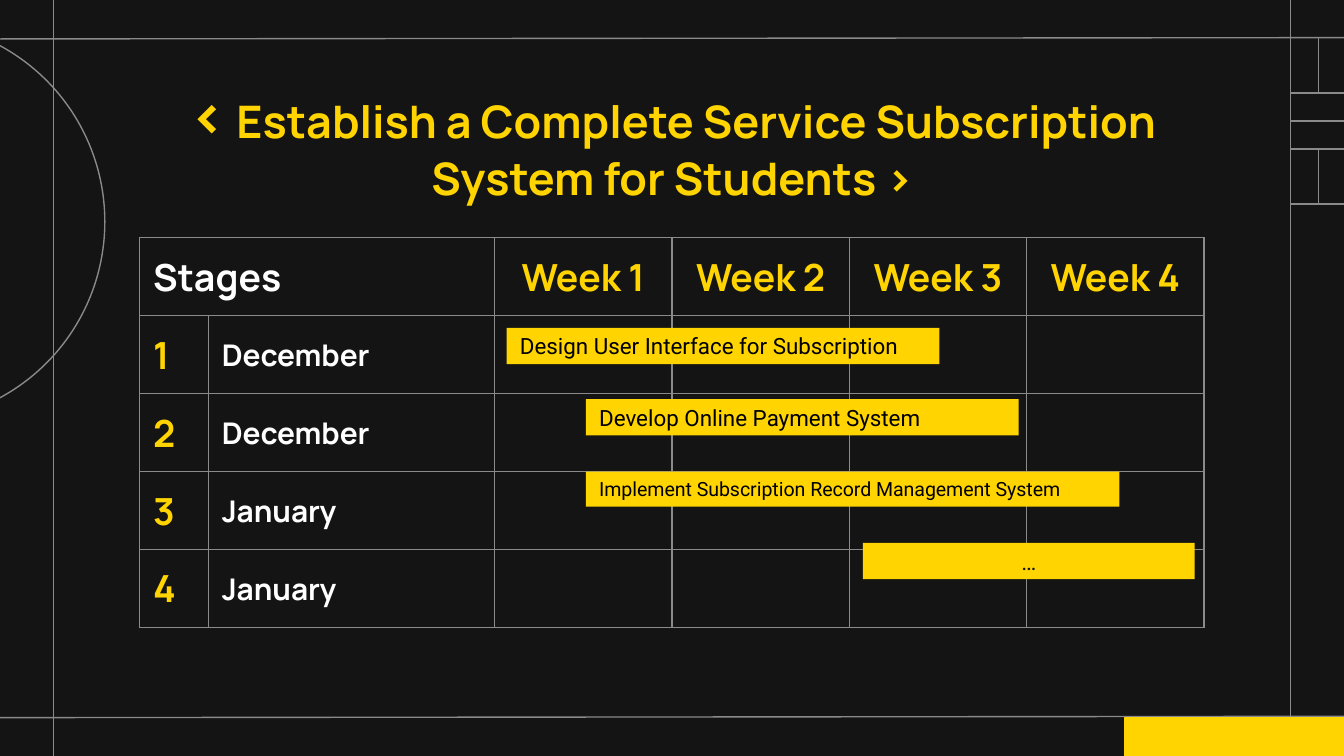
from typing import NamedTuple

from lxml.etree import SubElement
from pptx import Presentation
from pptx.dml.color import RGBColor
from pptx.enum.shapes import MSO_CONNECTOR, MSO_SHAPE
from pptx.enum.text import MSO_ANCHOR, PP_ALIGN
from pptx.oxml.ns import qn
from pptx.util import Inches, Pt

BACKGROUND = RGBColor(0x14, 0x14, 0x14)
YELLOW = RGBColor(0xFF, 0xD4, 0x00)
GRAY = RGBColor(0x8A, 0x8A, 0x8A)
WHITE = RGBColor(0xFF, 0xFF, 0xFF)
BLACK = RGBColor(0x00, 0x00, 0x00)
HEADING_FONT = "Manrope"
BODY_FONT = "Roboto"
LINE_WIDTH = Pt(0.75)
MARGIN = Inches(0.1)


class Bar(NamedTuple):
    text: str
    left: float
    top: float
    width: float
    height: float = 0.27
    size: float = 12
    color: RGBColor = BLACK
    align: PP_ALIGN = PP_ALIGN.LEFT


class Line(NamedTuple):
    x1: float
    y1: float
    x2: float
    y2: float


TILE_LEFT, TILE_TOP, TILE = 9.6, 0.28, 0.41
TILE_TOPS = [TILE_TOP + row * 0.415 for row in range(3)]
TILE_MIDDLE = TILE_LEFT + 0.21

LINES = [
    # Page frame
    Line(-0.03, 0.29, 10.03, 0.28),
    Line(-0.03, 5.34, 10.03, 5.33),
    Line(0.4, -0.01, 0.4, 5.66),
    Line(9.6, -0.01, 9.6, 5.66),
    # Tile dividers
    Line(TILE_MIDDLE, TILE_TOPS[0], TILE_MIDDLE, TILE_TOPS[0] + TILE),
    Line(TILE_LEFT, 0.9, TILE_LEFT + TILE, 0.9),
    Line(TILE_MIDDLE, TILE_TOPS[2], TILE_MIDDLE, TILE_TOPS[2] + TILE),
]

COLUMN_WIDTHS = [0.51, 2.13] + [1.32] * 4
ROW_HEIGHT = 0.58
MONTHS = ["December", "December", "January", "January"]

BARS = [
    Bar("Design User Interface for Subscription", 3.77, 2.44, 3.22),
    Bar("Develop Online Payment System", 4.36, 2.97, 3.22),
    Bar("Implement Subscription Record Management System", 4.36, 3.51, 3.97,
        height=0.26, size=10.5),
    Bar("…", 6.42, 4.04, 2.47, color=BACKGROUND, align=PP_ALIGN.CENTER),
]


def style_font(font, name: str, size: float, color: RGBColor, bold: bool = False) -> None:
    font.name = name
    font.size = Pt(size)
    font.color.rgb = color
    font.bold = bold


def set_margins(box) -> None:
    box.margin_left = box.margin_right = MARGIN
    box.margin_top = box.margin_bottom = MARGIN


def add_line(page, line: Line) -> None:
    connector = page.shapes.add_connector(
        MSO_CONNECTOR.STRAIGHT, *(Inches(value) for value in line))
    connector.line.color.rgb = GRAY
    connector.line.width = LINE_WIDTH
    SubElement(connector._element.spPr, qn("a:effectLst"))


def add_block(page, kind: MSO_SHAPE, left: float, top: float, width: float,
              height: float, fill: RGBColor | None = None,
              outline: RGBColor | None = None):
    block = page.shapes.add_shape(
        kind, Inches(left), Inches(top), Inches(width), Inches(height))
    block.shadow.inherit = False
    if fill is None:
        block.fill.background()
    else:
        block.fill.solid()
        block.fill.fore_color.rgb = fill
    if outline is None:
        block.line.fill.background()
    else:
        block.line.color.rgb = outline
        block.line.width = LINE_WIDTH
    return block


def add_title(page) -> None:
    box = page.shapes.add_textbox(Inches(0.79), Inches(0.49), Inches(8.43), Inches(0.63))
    frame = box.text_frame
    frame.word_wrap = True
    set_margins(frame)
    para = frame.paragraphs[0]
    para.alignment = PP_ALIGN.CENTER
    title = " Establish a Complete Service Subscription System for Students >"
    for text, size in (("<", 32), (title, 24)):
        span = para.add_run()
        span.text = text
        style_font(span.font, HEADING_FONT, size, YELLOW, bold=True)


def add_borders(cell) -> None:
    properties = cell._tc.get_or_add_tcPr()
    for index, side in enumerate(("a:lnL", "a:lnR", "a:lnT", "a:lnB")):
        border = properties.makeelement(qn(side), {"w": str(int(LINE_WIDTH))})
        fill = SubElement(border, qn("a:solidFill"))
        SubElement(fill, qn("a:srgbClr"), val=str(GRAY))
        properties.insert(index, border)


def write_cell(cell, text: str, color: RGBColor, size: float = 20,
               align: PP_ALIGN = PP_ALIGN.LEFT) -> None:
    cell.text = text
    para = cell.text_frame.paragraphs[0]
    para.alignment = align
    style_font(para.font, HEADING_FONT, size, color, bold=True)


def add_schedule(page) -> None:
    row_count = len(MONTHS) + 1
    table = page.shapes.add_table(
        row_count, len(COLUMN_WIDTHS), Inches(1.04), Inches(1.77),
        Inches(sum(COLUMN_WIDTHS)), Inches(ROW_HEIGHT * row_count)).table
    table.first_row = table.horz_banding = False
    for column, width in zip(table.columns, COLUMN_WIDTHS):
        column.width = Inches(width)
    for row in table.rows:
        row.height = Inches(ROW_HEIGHT)
    for cell in table.iter_cells():
        set_margins(cell)
        cell.fill.background()
        add_borders(cell)

    # Header row
    table.cell(0, 0).merge(table.cell(0, 1))
    write_cell(table.cell(0, 0), "Stages", WHITE)
    for week in range(1, 5):
        write_cell(table.cell(0, week + 1), f"Week {week}", YELLOW, align=PP_ALIGN.CENTER)

    # Numbered stages
    for number, month in enumerate(MONTHS, start=1):
        write_cell(table.cell(number, 0), str(number), YELLOW)
        month_cell = table.cell(number, 1)
        write_cell(month_cell, month, WHITE, size=16)
        month_cell.vertical_anchor = MSO_ANCHOR.MIDDLE


def add_bar(page, bar: Bar) -> None:
    block = add_block(page, MSO_SHAPE.RECTANGLE, bar.left, bar.top,
                      bar.width, bar.height, fill=YELLOW)
    frame = block.text_frame
    frame.word_wrap = True
    frame.vertical_anchor = MSO_ANCHOR.MIDDLE
    set_margins(frame)
    para = frame.paragraphs[0]
    para.text = bar.text
    para.alignment = bar.align
    style_font(para.font, BODY_FONT, bar.size, bar.color)


def main() -> None:
    # Widescreen page, 16 to 9
    deck = Presentation()
    deck.slide_width = Inches(10)
    deck.slide_height = Inches(10 * 9 / 16)
    page = deck.slides.add_slide(deck.slide_layouts[6])
    page.background.fill.solid()
    page.background.fill.fore_color.rgb = BACKGROUND

    # Decoration
    for line in LINES:
        add_line(page, line)
    add_block(page, MSO_SHAPE.OVAL, -2.2, 0.16, 2.98, 2.98, outline=GRAY)
    for top in TILE_TOPS:
        add_block(page, MSO_SHAPE.RECTANGLE, TILE_LEFT, top, TILE, TILE, outline=GRAY)
    add_block(page, MSO_SHAPE.RECTANGLE, 8.37, 5.34, 1.64, 0.3, fill=YELLOW, outline=YELLOW)

    # Content
    add_title(page)
    add_schedule(page)
    for bar in BARS:
        add_bar(page, bar)

    deck.save("out.pptx")


if __name__ == "__main__":
    main()
